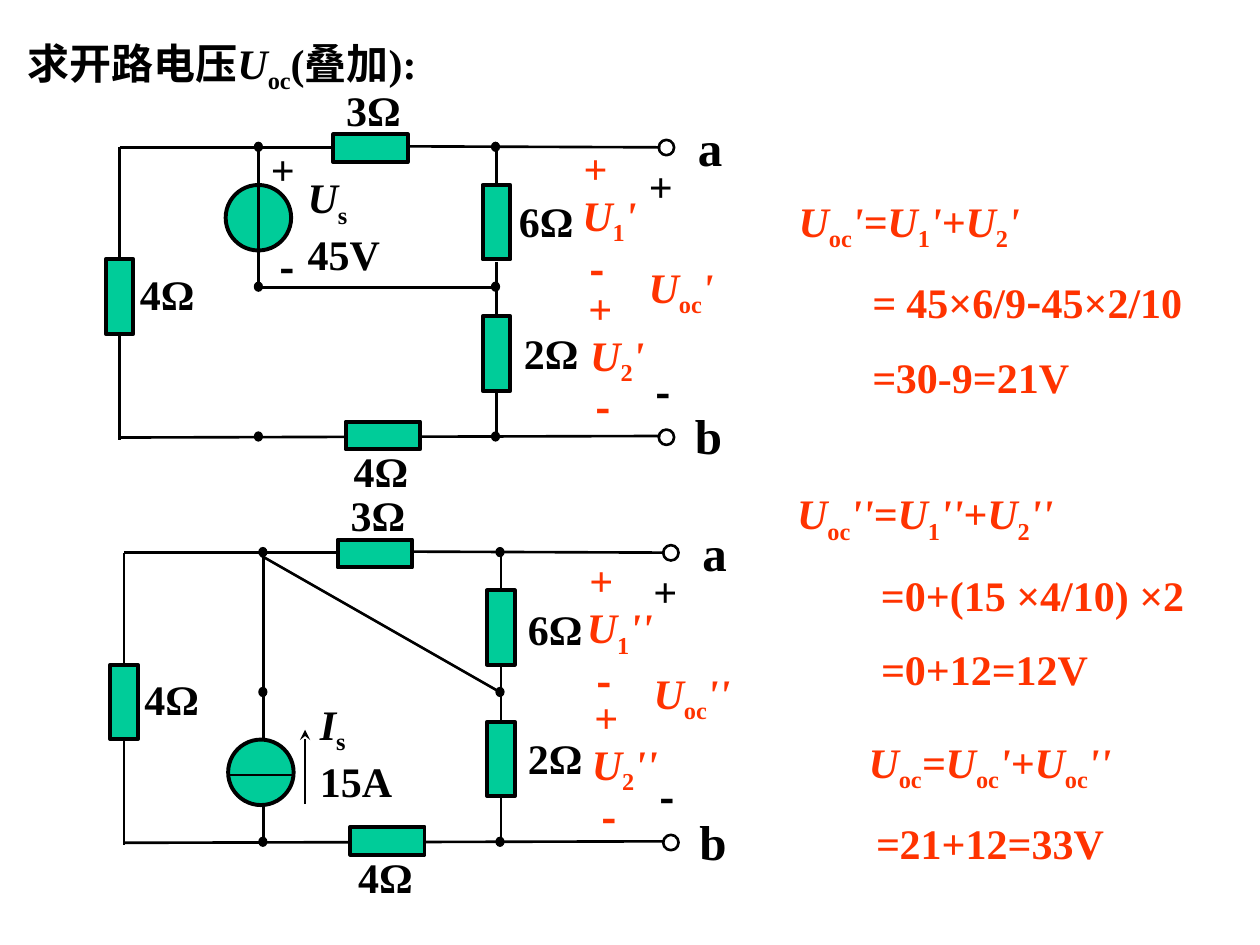
from dataclasses import dataclass
from itertools import product

import pptx
import pptx.util
import pptx.dml.color
import pptx.enum.shapes
import pptx.enum.text
import pptx.oxml.ns
from lxml import etree

Cm, Pt = pptx.util.Cm, pptx.util.Pt
Kind = pptx.enum.shapes.MSO_SHAPE
Align = pptx.enum.text.PP_ALIGN


@dataclass(frozen=True)
class Theme:
    ink: str = "000000"
    red: str = "FF3300"
    green: str = "00CC99"
    font: str = "Times New Roman"
    dash: str = "Noto Sans CJK SC"
    body: int = 24
    big: int = 28
    wire: float = 1.5
    edge: float = 2.25
    thin: float = 0.75
    gap: float = 13.8


THEME = Theme()
SHIFT = (0.09, 8.17)  # from the upper circuit to the lower one

WIRES = [
    (2.41, 2.97, 6.73, 2.97), (8.2, 2.95, 13.31, 2.97),
    (2.41, 2.97, 2.41, 5.23), (2.41, 6.73, 2.41, 8.86),
    (2.39, 8.82, 13.31, 8.79),
    (10.01, 2.97, 10.01, 3.71), (10.01, 5.28, 10.01, 6.38),
    (10.01, 7.9, 10.01, 8.81),
]
LOADS = [
    (2.13, 5.23, 0.56, 1.5), (9.73, 3.73, 0.56, 1.5), (9.73, 6.38, 0.56, 1.5),
    (6.72, 2.71, 1.5, 0.56), (6.97, 8.5, 1.5, 0.56),
]
OHMS = [("3Ω", 6.73, 1.57), ("4Ω", 2.57, 5.28), ("4Ω", 6.88, 8.86)]
ENDS = [("a", 13.82, 2.24, 0.97), ("b", 13.75, 8.05, 1.07)]
POLES = [("+", 12.83, 3.1, 0.99), ("-", 12.9, 7.26, 0.94)]

UPPER_OHMS = [("6Ω", 10.21, 3.81), ("2Ω", 10.31, 6.48)]
LOWER_OHMS = [("6Ω", 10.39, 12.04), ("2Ω", 10.39, 14.63)]
UPPER_VOLTS = [
    ("+", 11.51, 2.74, 0.99), ("*U*_1_*'*", 11.46, 3.76, 1.65),
    ("-", 11.58, 4.78, 0.94), ("+", 11.61, 5.56, 0.99),
    ("*U*_2_*'*", 11.48, 6.58, 1.93), ("-", 11.61, 7.57, 1.09),
    ("*U*_oc_*'*", 12.75, 5.21, 1.96),
]
LOWER_VOLTS = [
    ("+", 11.63, 11.05, 0.99), ("*U*_1_*''*", 11.43, 12.07, 2.13),
    ("-", 11.58, 13.08, 1.22), ("+", 11.73, 13.82, 0.99),
    ("*U*_2_*''*", 11.53, 14.83, 2.13), ("-", 11.68, 15.82, 1.22),
    ("*U*_oc_*''*", 12.83, 13.39, 2.24),
]
SUMS = [
    ((15.85, 3.86, 9.25, 4.32), 1.48, Align.LEFT,
     ["*U*_oc_*'=U*_1_*'+U*_2_*'*", "*= *45×6/9**-**45×2/10", "*=*30-9=21V"]),
    ((15.82, 9.75, 8.76, 4.32), 1.69, Align.LEFT,
     ["*U*_oc_*''=U*_1_*''*+*U*_2_*''*", "=0+(15 ×4/10) ×2", "*=*0+12=12V"]),
    ((17.15, 14.78, 5.61, 2.79), 0, Align.CENTER,
     ["*U*_oc_*=U*_oc_*'+U*_oc_*''*", "*=*21+12=33V"]),
]


def tint(hue):
    return pptx.dml.color.RGBColor.from_string(hue)


def write(para, text, hue, size):
    """Add runs to a paragraph: *italic*, _subscript_; a lone - is a wide dash."""
    for i, part in enumerate(text.split("*")):
        for j, bit in enumerate(part.split("_")):
            if not bit:
                continue
            run = para.add_run()
            run.text = bit
            font = run.font
            font.name = THEME.dash if bit == "-" else THEME.font
            font.size, font.bold, font.italic = Pt(size), True, i % 2 == 1
            font.color.rgb = tint(hue)
            if j % 2:
                run._r.get_or_add_rPr().set("baseline", "-25000")


def fill_text(shape, lines, hue, size=THEME.body, align=Align.LEFT, gap=0, indent=0):
    frame = shape.text_frame
    frame.word_wrap = True
    frame.auto_size = pptx.enum.text.MSO_AUTO_SIZE.NONE
    frame.vertical_anchor = pptx.enum.text.MSO_ANCHOR.MIDDLE
    for i, line in enumerate(lines):
        para = frame.add_paragraph() if i else frame.paragraphs[0]
        para.alignment = align
        para.space_before = Pt(gap if i else 0)
        if i and indent:
            para._p.get_or_add_pPr().set("marL", str(Cm(indent)))
        write(para, line, hue, size)


def label(slide, lines, box, hue=THEME.ink, **style):
    shape = slide.shapes.add_textbox(*map(Cm, box))
    fill_text(shape, lines, hue, **style)


def marks(slide, items, shift=(0, 0), tall=1.27, **style):
    """Place centred one-line labels."""
    for text, x, y, wide in items:
        label(slide, [text], (x + shift[0], y + shift[1], wide, tall),
              align=Align.CENTER, **style)


def ohms(slide, items, shift=(0, 0)):
    for text, x, y in items:
        label(slide, [text], (x + shift[0], y + shift[1], 1.85, 1.27))


def wire(slide, x1, y1, x2, y2, arrow=False):
    line = slide.shapes.add_connector(
        pptx.enum.shapes.MSO_CONNECTOR.STRAIGHT, Cm(x1), Cm(y1), Cm(x2), Cm(y2))
    line.line.color.rgb = tint(THEME.ink)
    line.line.width = Pt(THEME.wire)
    qn = pptx.oxml.ns.qn
    if arrow:
        etree.SubElement(line.line._get_or_add_ln(), qn("a:tailEnd"), type="stealth")
    etree.SubElement(line._element.spPr, qn("a:effectLst"))


def part(slide, kind, box, hue, width):
    shape = slide.shapes.add_shape(kind, *map(Cm, box))
    shape.shadow.inherit = False
    if hue:
        shape.fill.solid()
        shape.fill.fore_color.rgb = tint(hue)
    else:
        shape.fill.background()
    shape.line.color.rgb = tint(THEME.ink)
    shape.line.width = Pt(width)


def source(slide, x, y):
    part(slide, Kind.OVAL, (x, y, 1.32, 1.32), THEME.green, THEME.edge)


def frame(slide, dx, dy):
    """Draw what both circuits share."""
    for x1, y1, x2, y2 in WIRES:
        wire(slide, x1 + dx, y1 + dy, x2 + dx, y2 + dy)
    for x, y, wide, tall in LOADS:
        part(slide, Kind.RECTANGLE, (x + dx, y + dy, wide, tall),
             THEME.green, THEME.edge)
    for x, y in product((5.13, 9.91), (2.87, 5.69, 8.71)):
        part(slide, Kind.OVAL, (x + dx, y + dy, 0.16, 0.18), THEME.ink, THEME.thin)
    for y in (2.82, 8.66):
        part(slide, Kind.OVAL, (13.28 + dx, y + dy, 0.31, 0.31), None, THEME.wire)
    ohms(slide, OHMS, (dx, dy))
    marks(slide, ENDS, (dx, dy), tall=1.45, size=THEME.big)
    marks(slide, POLES, (dx, dy))


def upper(slide):
    frame(slide, 0, 0)
    wire(slide, 5.21, 5.79, 10.01, 5.79)
    wire(slide, 5.21, 3, 5.21, 5.82)
    source(slide, 4.55, 3.73)
    wire(slide, 5.21, 3.73, 5.21, 5.05)
    label(slide, ["*U*_s_", "45V"], (5.95, 3.4, 2.1, 2.29))
    marks(slide, [("+", 5.21, 2.77, 0.99), ("-", 5.38, 4.75, 0.61)])
    ohms(slide, UPPER_OHMS)
    marks(slide, UPPER_VOLTS, hue=THEME.red)


def lower(slide):
    frame(slide, *SHIFT)
    wire(slide, 5.31, 11.15, 5.31, 16.97)
    wire(slide, 5.26, 11.2, 10.11, 13.97)
    source(slide, 4.6, 14.91)
    wire(slide, 4.6, 15.62, 5.92, 15.62)
    wire(slide, 6.15, 16.21, 6.15, 14.71, arrow=True)
    label(slide, ["*I*_s_", "15A"], (6.2, 14.02, 2.13, 2.29))
    ohms(slide, LOWER_OHMS)
    marks(slide, LOWER_VOLTS, hue=THEME.red)


def main():
    deck = pptx.Presentation()
    deck.slide_width, deck.slide_height = Cm(25.4), Cm(19.05)
    slide = deck.slides.add_slide(deck.slide_layouts[5])
    title = slide.shapes.title
    title.left, title.top, title.width, title.height = map(Cm, (0.3, 0.69, 8.48, 1.27))
    fill_text(title, ["求开路电压*U*_oc_(叠加):"], THEME.ink)
    upper(slide)
    lower(slide)
    for box, indent, align, lines in SUMS:
        label(slide, lines, box, hue=THEME.red, align=align,
              gap=THEME.gap, indent=indent)
    deck.save("out.pptx")


if __name__ == "__main__":
    main()
